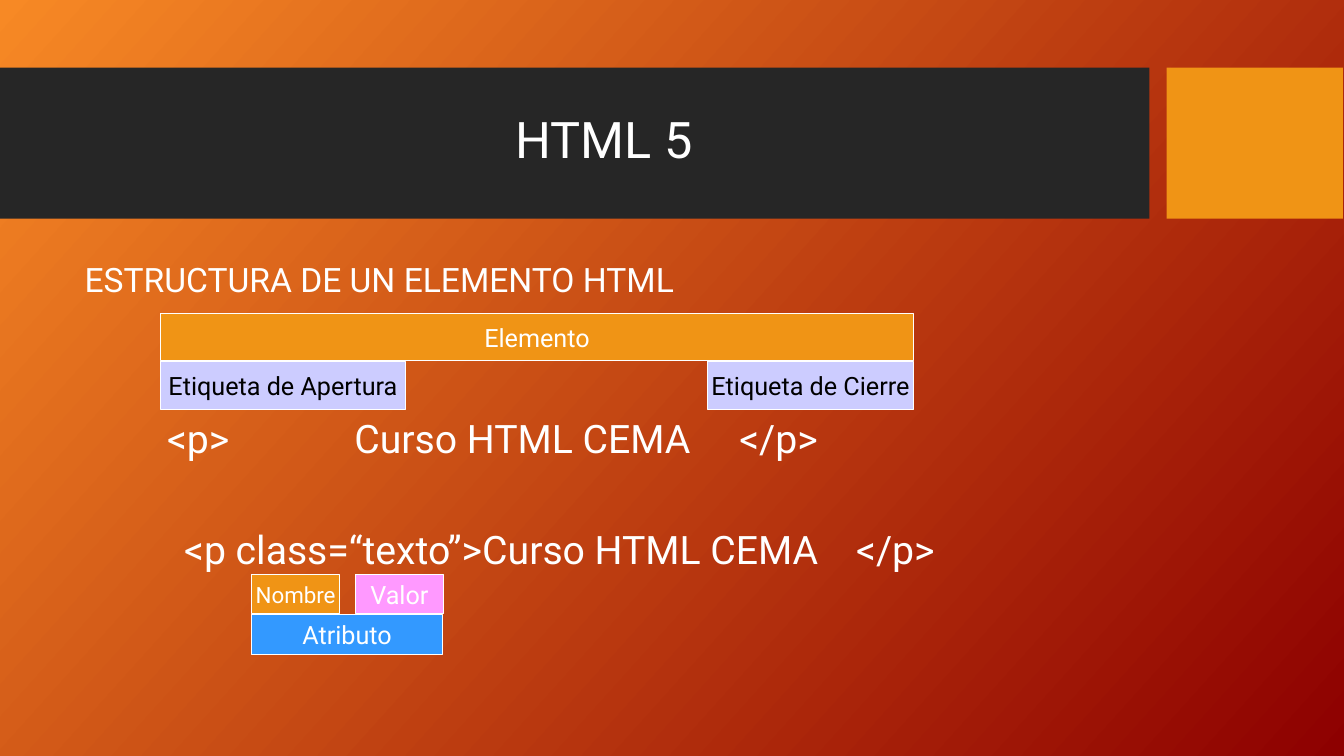
import pptx
import pptx.dml.color
import pptx.enum.shapes
import pptx.enum.text
import pptx.oxml.ns
import pptx.util
from lxml import etree

Inches = pptx.util.Inches
RGBColor = pptx.dml.color.RGBColor
Align = pptx.enum.text.PP_ALIGN
Anchor = pptx.enum.text.MSO_ANCHOR
AutoSize = pptx.enum.text.MSO_AUTO_SIZE

WHITE = RGBColor(0xFF, 0xFF, 0xFF)
BLACK = RGBColor(0x00, 0x00, 0x00)
CHARCOAL = RGBColor(0x26, 0x26, 0x26)
AMBER = RGBColor(0xF0, 0x94, 0x15)
LAVENDER = RGBColor(0xCC, 0xCC, 0xFF)
PINK = RGBColor(0xFF, 0x99, 0xFF)
BLUE = RGBColor(0x33, 0x99, 0xFF)
GRADIENT_START = RGBColor(0xF7, 0x89, 0x25)
GRADIENT_END = RGBColor(0x8D, 0x00, 0x00)


def apply_format(target, values):
    for name, value in values.items():
        setattr(target, name, value)


class SlideBuilder:
    font_name = "Roboto"

    def __init__(self, slide):
        self.slide = slide

    def background(self, start, end, angle):
        fill = self.slide.background.fill
        fill.gradient()
        fill.gradient_angle = 360 - angle
        for stop, color in zip(fill.gradient_stops, (start, end)):
            stop.color.rgb = color

    def set_text(self, shape, text, size, color=WHITE, frame_format=None, paragraph_format=None):
        apply_format(shape.text_frame, frame_format or {})
        paragraph = shape.text_frame.paragraphs[0]
        apply_format(paragraph, paragraph_format or {})
        run = paragraph.add_run()
        run.text = text
        apply_format(run.font, {"name": self.font_name, "size": pptx.util.Pt(size)})
        run.font.color.rgb = color
        return paragraph

    def placeholder(self, index, box, text, size, anchor, paragraph_format):
        shape = self.slide.placeholders[index]
        apply_format(shape, dict(zip(("left", "top", "width", "height"), map(Inches, box))))
        frame_format = {"vertical_anchor": anchor, "auto_size": AutoSize.NONE, "word_wrap": True}
        paragraph = self.set_text(shape, text, size, WHITE, frame_format,
                                  {"line_spacing": 0.9, **paragraph_format})
        properties = paragraph._p.get_or_add_pPr()
        properties.set("marL", "0")
        properties.set("indent", "0")
        etree.SubElement(properties, pptx.oxml.ns.qn("a:buNone"))

    def rectangle(self, box, fill):
        shape = self.slide.shapes.add_shape(
            pptx.enum.shapes.MSO_SHAPE.RECTANGLE, *map(Inches, box))
        shape.shadow.inherit = False
        shape.fill.solid()
        shape.fill.fore_color.rgb = fill
        return shape

    def band(self, box, fill):
        shape = self.rectangle(box, fill)
        shape.line.fill.background()
        self.slide.shapes.title.element.addprevious(shape.element)

    def label(self, box, text, fill, color=WHITE, size=18):
        shape = self.rectangle(box, fill)
        shape.line.color.rgb = WHITE
        shape.line.width = pptx.util.Pt(0.75)
        self.set_text(shape, text, size, color,
                      {"vertical_anchor": Anchor.MIDDLE, "word_wrap": False},
                      {"alignment": Align.CENTER})

    def code_line(self, box, parts, tab_stops):
        shape = self.slide.shapes.add_textbox(*map(Inches, box))
        paragraph = self.set_text(shape, "\t".join(parts), 28, WHITE, {"word_wrap": True})
        tab_list = etree.SubElement(paragraph._p.get_or_add_pPr(), pptx.oxml.ns.qn("a:tabLst"))
        for position in tab_stops:
            tab = etree.SubElement(tab_list, pptx.oxml.ns.qn("a:tab"))
            tab.set("pos", str(Inches(position)))
            tab.set("algn", "l")


def main():
    presentation = pptx.Presentation()
    presentation.slide_width = Inches(13.34)
    presentation.slide_height = Inches(7.5)
    builder = SlideBuilder(presentation.slides.add_slide(presentation.slide_layouts[1]))

    builder.background(GRADIENT_START, GRADIENT_END, 42)
    builder.band((0, 0.67, 11.41, 1.5), CHARCOAL)
    builder.band((11.58, 0.67, 1.75, 1.5), AMBER)
    builder.placeholder(0, (0.74, 0.82, 10.51, 1.18), "HTML 5", 36, Anchor.MIDDLE,
                        {"alignment": Align.CENTER})
    builder.placeholder(1, (0.74, 2.56, 10.51, 3.94), "ESTRUCTURA DE UN ELEMENTO HTML", 24,
                        Anchor.TOP, {"alignment": Align.LEFT, "space_before": pptx.util.Pt(10)})

    builder.label((1.59, 3.11, 7.48, 0.47), "Elemento", AMBER)
    builder.label((1.59, 3.59, 2.44, 0.47), "Etiqueta de Apertura", LAVENDER, BLACK)
    builder.label((7.02, 3.59, 2.05, 0.47), "Etiqueta de Cierre", LAVENDER, BLACK)
    builder.code_line((1.56, 4.06, 6.92, 0.57), ("<p>", "Curso HTML CEMA", "</p>"), (1.86, 5.68))

    builder.code_line((1.73, 5.16, 7.92, 0.57),
                      ("<p class=“texto”>Curso HTML CEMA", "</p>"), (6.67,))
    builder.label((2.5, 5.7, 0.87, 0.39), "Nombre", AMBER, size=16)
    builder.label((3.53, 5.7, 0.87, 0.39), "Valor", PINK)
    builder.label((2.5, 6.1, 1.89, 0.39), "Atributo", BLUE)

    presentation.save("out.pptx")


if __name__ == "__main__":
    main()
